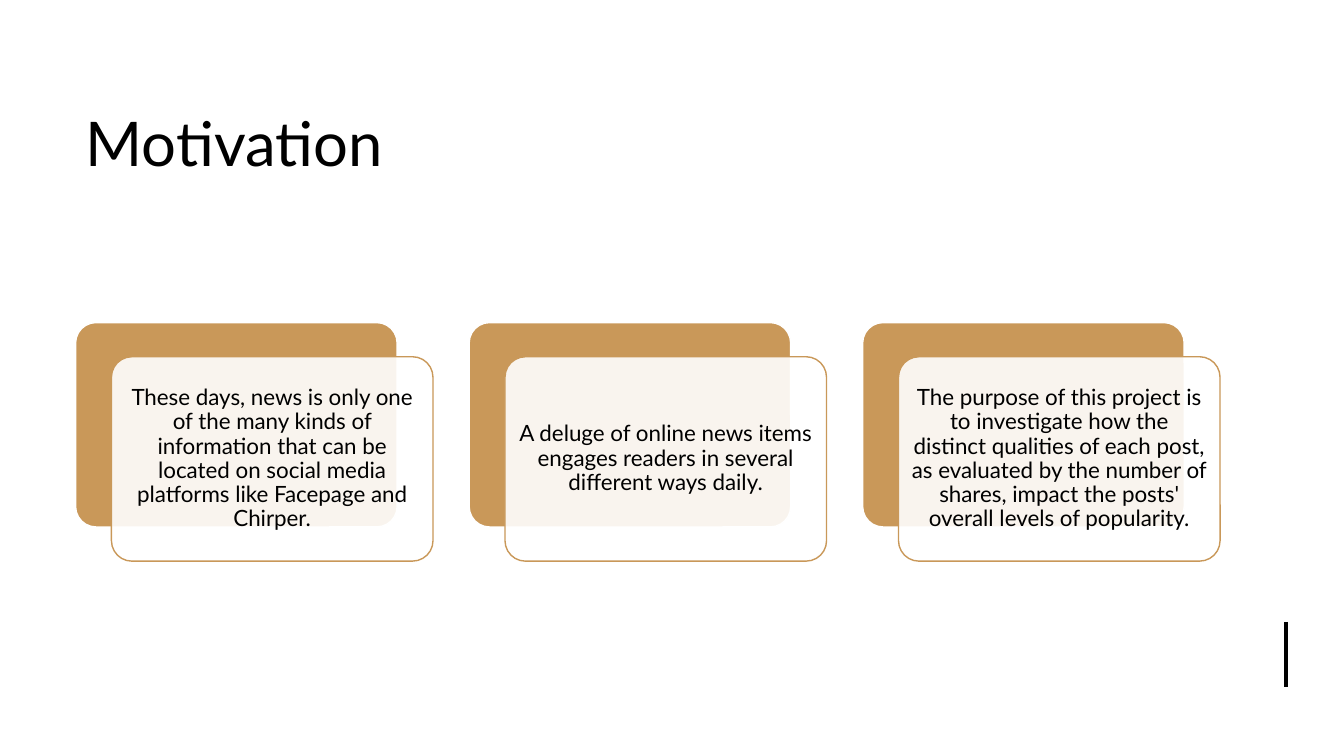
"""Build the Motivation slide with three layered text cards."""
from dataclasses import dataclass

from lxml import etree
from pptx import Presentation
from pptx.dml.color import RGBColor
from pptx.enum.shapes import MSO_CONNECTOR, MSO_SHAPE
from pptx.enum.text import MSO_ANCHOR, PP_ALIGN
from pptx.oxml.ns import qn
from pptx.slide import Slide
from pptx.util import Pt

ROUND = MSO_SHAPE.ROUNDED_RECTANGLE
LINE = MSO_CONNECTOR.STRAIGHT
MIDDLE = MSO_ANCHOR.MIDDLE
LEFT, CENTER = PP_ALIGN.LEFT, PP_ALIGN.CENTER
FONT = "Lato"
BLACK, WHITE, GOLD = "000000", "FFFFFF", "C99859"
CARD_X, CARD_Y, STEP = 54, 230.4, 281.1
CARD_W, CARD_H = 229.7, 146
SHIFT_X, SHIFT_Y, INSET = 25.6, 24.4, 4.3


@dataclass
class Box:
    """Place and size in points."""
    x: float
    y: float
    w: float
    h: float

    def emus(self) -> list[int]:
        """Return the box as lengths."""
        return [Pt(v) for v in (self.x, self.y, self.w, self.h)]


@dataclass
class Label:
    """Text with its size, alignment, margins and spacing."""
    text: str
    size: float
    align: PP_ALIGN
    side: float
    edge: float
    lead: float
    after: float


CARDS = [
    "These days, news is only one of the many kinds of information that can be "
    "located on social media platforms like Facepage and Chirper.",
    "A deluge of online news items engages readers in several different ways daily.",
    "The purpose of this project is to investigate how the distinct qualities of "
    "each post, as evaluated by the number of shares, impact the posts' overall "
    "levels of popularity.",
]


def color(code: str) -> RGBColor:
    """Turn a hex string into a colour."""
    return RGBColor.from_string(code)


def add_panel(slide: Slide, box: Box, fill: str, edge: str, alpha: int) -> None:
    """Draw a rounded panel with the given opacity in percent."""
    panel = slide.shapes.add_shape(ROUND, *box.emus())
    panel.shadow.inherit = False
    panel.adjustments[0] = 0.1
    panel.fill.solid()
    panel.fill.fore_color.rgb = color(fill)
    panel.line.color.rgb = color(edge)
    panel.line.width = Pt(1)
    if alpha < 100:
        tint = panel.fill._xPr.find(qn("a:solidFill"))[0]
        etree.SubElement(tint, qn("a:alpha"), val=str(alpha * 1000))


def add_label(slide: Slide, box: Box, label: Label) -> None:
    """Write one paragraph, centred vertically in its box."""
    frame = slide.shapes.add_textbox(*box.emus()).text_frame
    frame.word_wrap = True
    frame.vertical_anchor = MIDDLE
    frame.margin_left = frame.margin_right = Pt(label.side)
    frame.margin_top = frame.margin_bottom = Pt(label.edge)
    para = frame.paragraphs[0]
    para.alignment = label.align
    para.line_spacing = label.lead
    para.space_after = Pt(label.after)
    run = para.add_run()
    run.text = label.text
    run.font.name = FONT
    run.font.size = Pt(label.size)
    run.font.color.rgb = color(BLACK)


def add_card(slide: Slide, index: int, text: str) -> None:
    """Draw a gold panel, a pale panel over it and the text on top."""
    back = Box(CARD_X + index * STEP, CARD_Y, CARD_W, CARD_H)
    front = Box(back.x + SHIFT_X, back.y + SHIFT_Y, CARD_W, CARD_H)
    inner = Box(front.x + INSET, front.y + INSET,
                CARD_W - 2 * INSET, CARD_H - 2 * INSET)
    add_panel(slide, back, GOLD, WHITE, 100)
    add_panel(slide, front, WHITE, GOLD, 90)
    add_label(slide, inner, Label(text, 16, CENTER, 4.8, 4.8, 0.9, 5.6))


def add_bar(slide: Slide, x: float, top: float, end: float) -> None:
    """Draw the upright black bar."""
    bar = slide.shapes.add_connector(LINE, Pt(x), Pt(top), Pt(x), Pt(end))
    bar.line.color.rgb = color(BLACK)
    bar.line.width = Pt(3)
    etree.SubElement(bar._element.spPr, qn("a:effectLst"))


def main() -> None:
    """Build and save the slide."""
    deck = Presentation()
    deck.slide_width, deck.slide_height = Pt(960), Pt(540)
    slide = deck.slides.add_slide(deck.slide_layouts[6])
    slide.background.fill.solid()
    slide.background.fill.fore_color.rgb = color(WHITE)
    add_label(slide, Box(54, 44.6, 755.3, 113),
              Label("Motivation", 44, LEFT, 7.2, 3.6, 1, 0))
    add_bar(slide, 918.7, 444.2, 491)
    for index, text in enumerate(CARDS):
        add_card(slide, index, text)
    deck.save("out.pptx")


if __name__ == "__main__":
    main()
